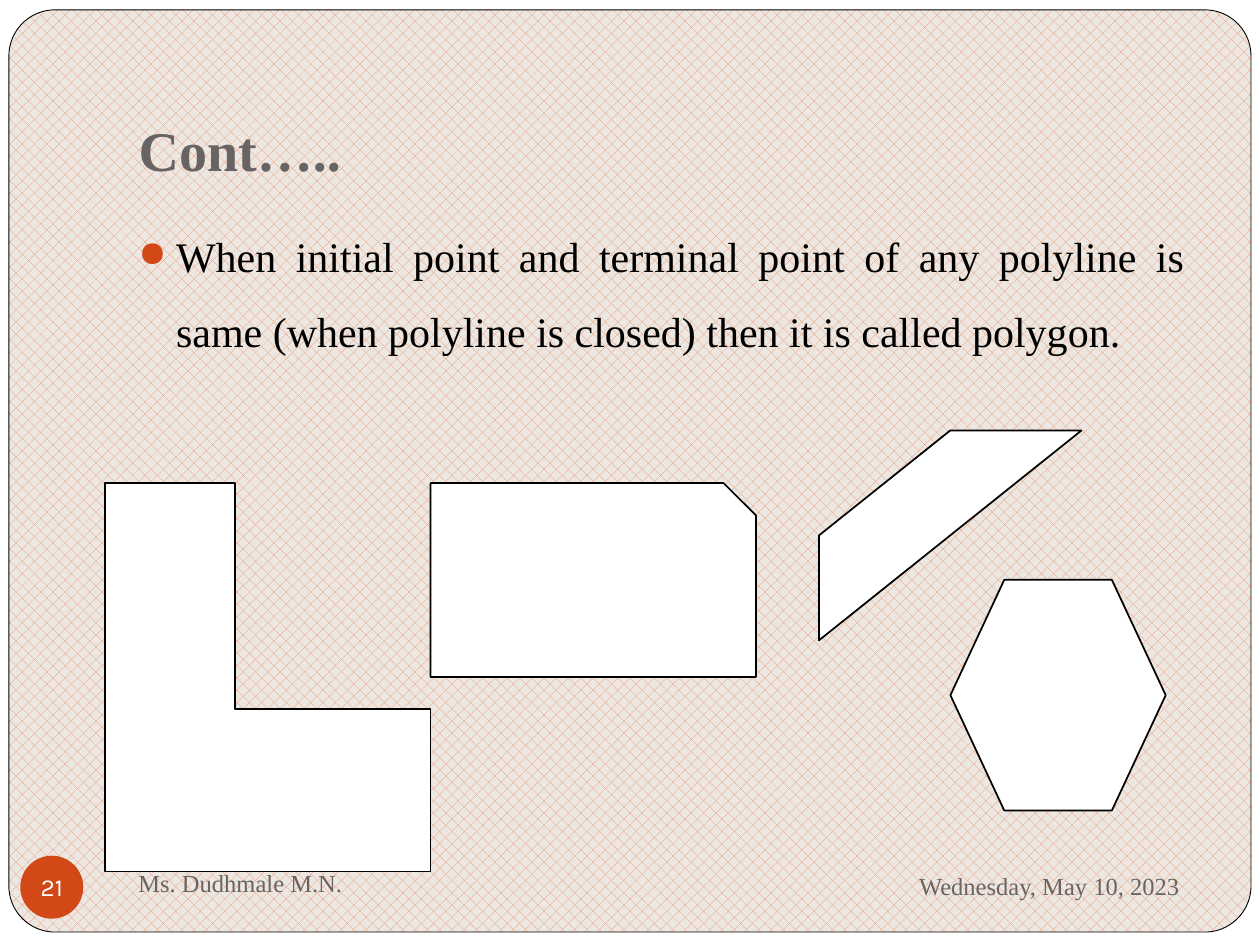
"""Build the slide that shows closed polylines as polygons."""
from lxml import etree
from pptx import Presentation, util as u
from pptx.dml.color import RGBColor
from pptx.enum import dml, shapes, text
from pptx.oxml.ns import qn

COLORS = {
    "paper": "FFFFFF",
    "ink": "000000",
    "grey": "696464",
    "accent": "D34817",
    "hatch": "EF8C6A",
    "sand": "ECE8E1",
}
SERIF = "Times New Roman"
ALIGN = text.PP_ALIGN
ANCHOR = text.MSO_ANCHOR
KIND = shapes.MSO_SHAPE


def rgb(name):
    return RGBColor.from_string(COLORS[name])


def hatch(fill):
    fill.patterned()
    fill.pattern = dml.MSO_PATTERN.PERCENT_30
    fill.fore_color.rgb = rgb("hatch")
    fill.back_color.rgb = rgb("sand")


def add_bullet(paragraph, indent):
    props = paragraph._p.get_or_add_pPr()
    props.set("marL", str(indent))
    props.set("indent", str(-indent))
    color = etree.SubElement(props, qn("a:buClr"))
    etree.SubElement(color, qn("a:srgbClr"), val=COLORS["accent"])
    etree.SubElement(props, qn("a:buSzPct"), val="85000")
    etree.SubElement(props, qn("a:buChar"), char="●")


def write(frame, wording, size=14, font=SERIF, color="grey", bold=False,
          align=ALIGN.LEFT, anchor=ANCHOR.MIDDLE, wrap=True,
          spacing=None, indent=None):
    frame.word_wrap = wrap
    frame.auto_size = text.MSO_AUTO_SIZE.NONE
    frame.vertical_anchor = anchor
    paragraph = frame.paragraphs[0]
    paragraph.text = wording
    if indent:
        add_bullet(paragraph, indent)
    paragraph.alignment = align
    paragraph.line_spacing = spacing
    paragraph.font.size = u.Pt(size)
    paragraph.font.name = font
    paragraph.font.bold = bold
    paragraph.font.color.rgb = rgb(color)


class PolygonSlide:
    """Hold the shared style and the current slide."""

    def __init__(self, deck):
        self.slide = deck.slides.add_slide(deck.slide_layouts[5])
        hatch(self.slide.background.fill)

    def title(self, wording, box):
        heading = self.slide.shapes.title
        heading.left, heading.top, heading.width, heading.height = map(u.Cm, box)
        write(heading.text_frame, wording, size=32, bold=True, anchor=ANCHOR.BOTTOM)
        heading.text_frame.margin_bottom = u.Cm(0.25)

    def shape(self, kind, box, fill="paper", line=1, adjust=()):
        figure = self.slide.shapes.add_shape(kind, *map(u.Cm, box))
        figure.shadow.inherit = False
        for place, value in enumerate(adjust):
            figure.adjustments[place] = value
        if fill == "hatch":
            hatch(figure.fill)
        else:
            figure.fill.solid()
            figure.fill.fore_color.rgb = rgb(fill)
        if line:
            figure.line.color.rgb = rgb("ink")
            figure.line.width = u.Pt(line)
        else:
            figure.line.fill.background()
        return figure

    def label(self, wording, box, **style):
        holder = self.slide.shapes.add_textbox(*map(u.Cm, box))
        write(holder.text_frame, wording, **style)

    def badge(self, number, box):
        disc = self.shape(KIND.OVAL, box, fill="accent", line=0)
        frame = disc.text_frame
        frame.margin_left = frame.margin_right = 0
        frame.margin_top = frame.margin_bottom = 0
        write(frame, number, font="Karla", color="paper",
              align=ALIGN.CENTER, wrap=False)

    def send_to_back(self, *layers):
        tree = self.slide.shapes._spTree
        for depth, layer in enumerate(layers, start=2):
            tree.insert(depth, layer._element)


def main():
    deck = Presentation()
    deck.slide_width, deck.slide_height = u.Cm(25.4), u.Cm(19.05)
    page = PolygonSlide(deck)

    sheet = page.shape(KIND.RECTANGLE, (0, 0, 25.4, 19.05), line=0)
    panel = page.shape(KIND.ROUNDED_RECTANGLE, (0.18, 0.2, 25.04, 18.59),
                       fill="hatch", line=0.5, adjust=[0.05])
    page.send_to_back(sheet, panel)

    page.title("Cont…..", (2.54, 0.76, 21.59, 3.18))
    page.badge("21", (0.41, 17.25, 1.27, 1.27))
    page.label(
        "When initial point and terminal point of any polyline is same "
        "(when polyline is closed) then it is called polygon.",
        (2.54, 4.01, 21.59, 12.7), size=24, color="ink", align=ALIGN.JUSTIFY,
        anchor=ANCHOR.TOP, spacing=1.5, indent=u.Cm(0.76))

    polygons = [
        (KIND.CORNER, (2.12, 9.74, 6.56, 7.83), [0.5, 0.4]),
        (KIND.SNIP_1_RECTANGLE, (8.68, 9.74, 6.56, 3.91), []),
        (KIND.DIAGONAL_STRIPE, (16.51, 8.68, 5.29, 4.23), []),
        (KIND.HEXAGON, (19.16, 11.69, 4.34, 4.65), []),
    ]
    for kind, box, adjust in polygons:
        page.shape(kind, box, adjust=adjust)

    page.label("Wednesday, May 10, 2023", (17.15, 17.2, 6.88, 1.32), align=ALIGN.RIGHT)
    page.label("Ms. Dudhmale M.N.", (2.54, 17.15, 11, 1.27))
    deck.save("out.pptx")


if __name__ == "__main__":
    main()
